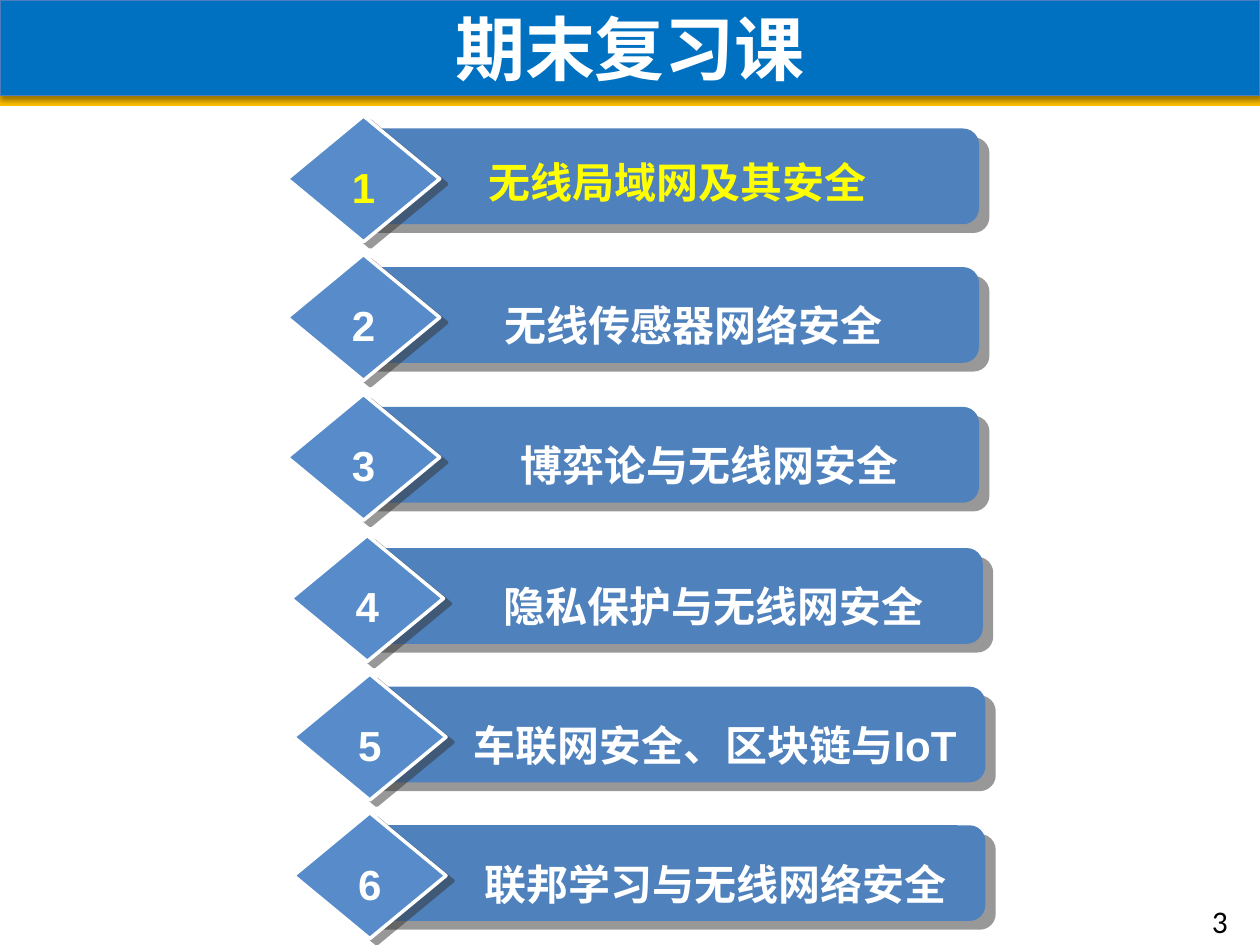
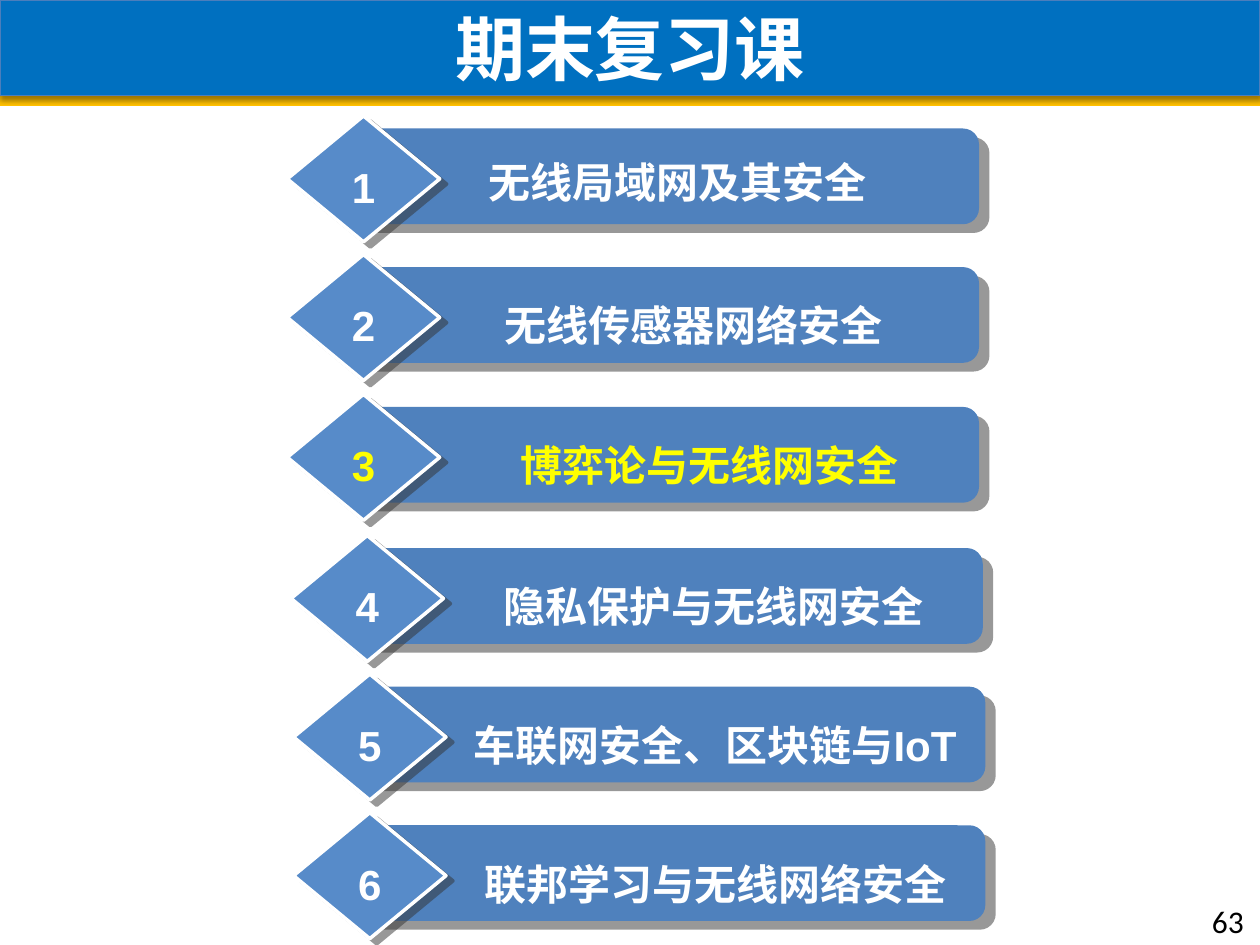
from collections import namedtuple

from lxml.etree import SubElement
from pptx import Presentation
from pptx.dml.color import RGBColor
from pptx.enum.shapes import MSO_SHAPE
from pptx.enum.text import MSO_ANCHOR, MSO_AUTO_SIZE, PP_ALIGN
from pptx.oxml.ns import qn
from pptx.util import Inches, Pt

WHITE = RGBColor(0xFF, 0xFF, 0xFF)
BLACK = RGBColor(0x00, 0x00, 0x00)
YELLOW = RGBColor(0xFF, 0xFF, 0x00)
GOLD = RGBColor(0xFF, 0xC0, 0x00)
TITLE_BLUE = RGBColor(0x00, 0x70, 0xC0)
TITLE_EDGE = RGBColor(0x4B, 0x7E, 0xBC)
BAR_BLUE = RGBColor(0x4F, 0x81, 0xBD)
DIAMOND_BLUE = RGBColor(0x57, 0x8B, 0xC9)
SHADOW_GREY = RGBColor(0x33, 0x33, 0x33)

TITLE_FONT = "Noto Sans CJK SC"
TOPIC_FONT = "Arial"
NUMBER_FONT = "Calibri"
BAND_HEIGHT = 0.76
STRIP_HEIGHT = 0.08

Topic = namedtuple("Topic", "text left top label_left label_top label_width")
TOPICS = [
    Topic("无线局域网及其安全 ", 2.28, 0.92, 0.95, 0.24, 4.39),
    Topic("无线传感器网络安全", 2.28, 2.02, 1.12, 0.28, 4.21),
    Topic("博弈论与无线网安全", 2.28, 3.13, 1.12, 0.28, 4.47),
    Topic("隐私保护与无线网安全", 2.31, 4.25, 1.12, 0.28, 4.47),
    Topic("车联网安全、区块链与IoT", 2.33, 5.35, 1.11, 0.28, 4.47),
    Topic("联邦学习与无线网络安全", 2.33, 6.45, 1.11, 0.28, 4.47),
]


def box(left, top, width, height):
    """Return the four lengths of a box given in inches."""
    return [Inches(value) for value in (left, top, width, height)]


def write_text(shape, text, size, font, color, bold=False, align=None, wrap=True):
    """Write one formatted paragraph into a shape."""
    frame = shape.text_frame
    frame.word_wrap = wrap
    frame.text = text
    paragraph = frame.paragraphs[0]
    paragraph.alignment = align
    run = paragraph.runs[0]
    run.font.size = Pt(size)
    run.font.name = font
    run.font.bold = bold
    run.font.color.rgb = color
    SubElement(run.font._element, qn("a:ea"), typeface=font)
    return frame


def add_shadow(shape, color, opacity, blur, distance, angle):
    """Give a shape an outer shadow, with lengths in points."""
    shape.shadow.inherit = False
    effects = shape.element.spPr.find(qn("a:effectLst"))
    shadow = SubElement(
        effects, qn("a:outerShdw"), blurRad=str(Pt(blur)), dist=str(Pt(distance)),
        dir=str(angle * 60000), algn="ctr", rotWithShape="0")
    tint = SubElement(shadow, qn("a:srgbClr"), val=str(color))
    SubElement(tint, qn("a:alpha"), val=str(opacity * 1000))


def paint(shape, fill, line=None, width=0):
    """Set the fill and outline of a shape."""
    shape.shadow.inherit = False
    shape.fill.solid()
    shape.fill.fore_color.rgb = fill
    if line is None:
        shape.line.fill.background()
    else:
        shape.line.color.rgb = line
        shape.line.width = Pt(width)


def add_strip_to_layout(slide, layout):
    """Put the gold strip below the title band on the shared layout."""
    strip = slide.shapes.add_shape(
        MSO_SHAPE.RECTANGLE, *box(0, BAND_HEIGHT, 10, STRIP_HEIGHT))
    paint(strip, GOLD)
    layout.shapes.element.append(strip.element)


def format_title(slide, text):
    """Turn the title placeholder into the blue band."""
    title = slide.shapes.title
    title.left, title.top, title.width, title.height = box(0, 0, 10, BAND_HEIGHT)
    paint(title, TITLE_BLUE, TITLE_EDGE, 0.75)
    add_shadow(title, BLACK, 38, 3.1, 1.6, 90)
    frame = write_text(title, text, 40, TITLE_FONT, WHITE, bold=True,
                       align=PP_ALIGN.CENTER)
    frame.auto_size = MSO_AUTO_SIZE.NONE
    frame.vertical_anchor = MSO_ANCHOR.MIDDLE
    frame.margin_top = frame.margin_bottom = 0


def add_page_number(slide, number):
    """Add the page number at the lower right."""
    text_box = slide.shapes.add_textbox(*box(9.52, 7.11, 0.47, 0.4))
    write_text(text_box, str(number), 18, NUMBER_FONT, BLACK)


def add_topic_text(group, text, place, color, wrap):
    """Add a bold centred text of a topic row."""
    text_box = group.shapes.add_textbox(*place)
    frame = write_text(text_box, text, 24, TOPIC_FONT, color, bold=True,
                       align=PP_ALIGN.CENTER, wrap=wrap)
    frame.margin_top = Inches(0.08)
    frame.auto_size = MSO_AUTO_SIZE.SHAPE_TO_FIT_TEXT


def add_topic_row(slide, number, topic, color):
    """Add a numbered diamond with its topic bar as one group."""
    left, top = topic.left, topic.top
    group = slide.shapes.add_group_shape()
    bar = group.shapes.add_shape(
        MSO_SHAPE.ROUNDED_RECTANGLE, *box(left + 0.44, top + 0.1, 5.05, 0.76))
    paint(bar, BAR_BLUE)
    add_shadow(bar, SHADOW_GREY, 50, 0, 7.8, 40)
    diamond = group.shapes.add_shape(MSO_SHAPE.DIAMOND, *box(left, top, 1.21, 1))
    paint(diamond, DIAMOND_BLUE, WHITE, 2)
    add_shadow(diamond, SHADOW_GREY, 50, 0, 5, 37)
    label_place = box(left + topic.label_left, top + topic.label_top,
                      topic.label_width, 0.44)
    add_topic_text(group, topic.text, label_place, color, wrap=True)
    number_place = box(left + 0.41, top + 0.28, 0.39, 0.44)
    add_topic_text(group, str(number), number_place, color, wrap=False)


def add_agenda_slide(presentation, layout, page, current):
    """Add the list of topics with the current one highlighted."""
    slide = presentation.slides.add_slide(layout)
    format_title(slide, "期末复习课")
    add_page_number(slide, page)
    for number, topic in enumerate(TOPICS, start=1):
        add_topic_row(slide, number, topic, YELLOW if number == current else WHITE)
    return slide


def main():
    """Build and save the presentation."""
    presentation = Presentation()
    presentation.slide_width = Inches(10)
    presentation.slide_height = Inches(7.5)
    layout = presentation.slide_layouts.get_by_name("Title Only")
    first_slide = add_agenda_slide(presentation, layout, page=3, current=1)
    add_strip_to_layout(first_slide, layout)
    add_agenda_slide(presentation, layout, page=63, current=3)
    presentation.save("out.pptx")


if __name__ == "__main__":
    main()
